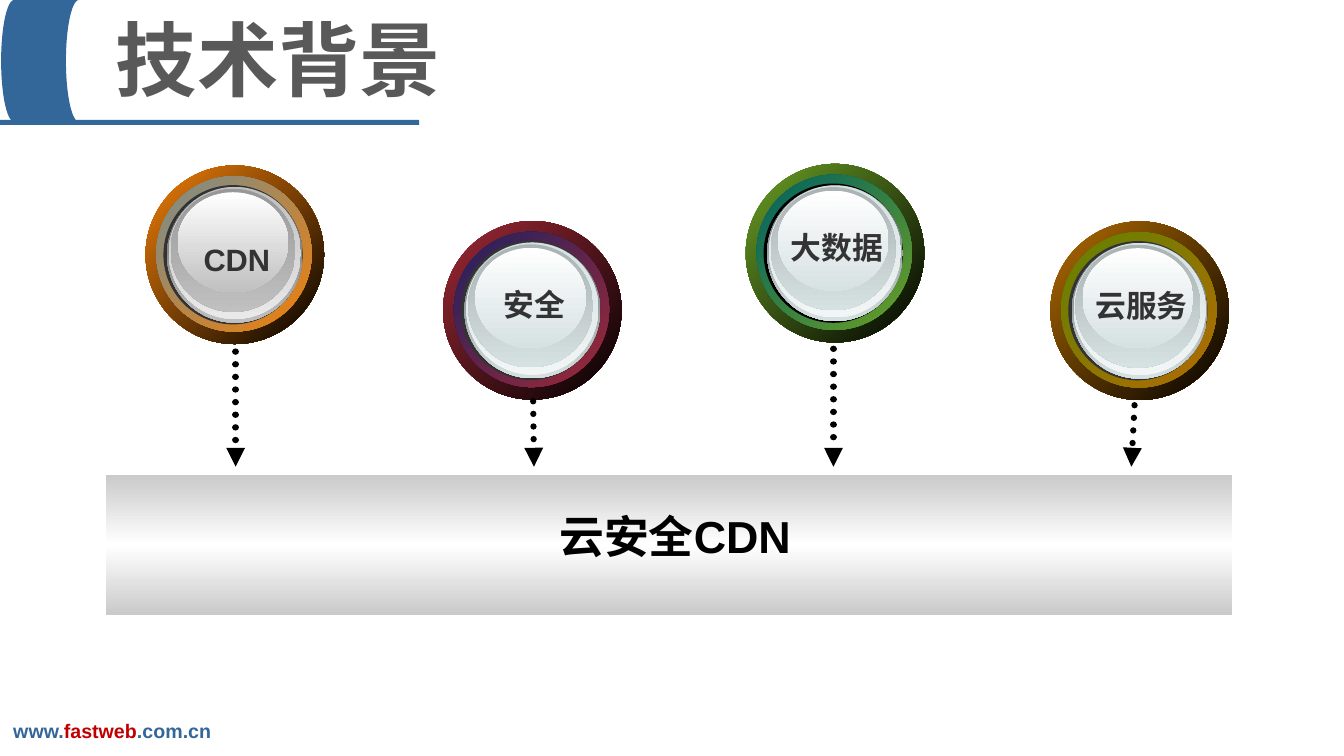
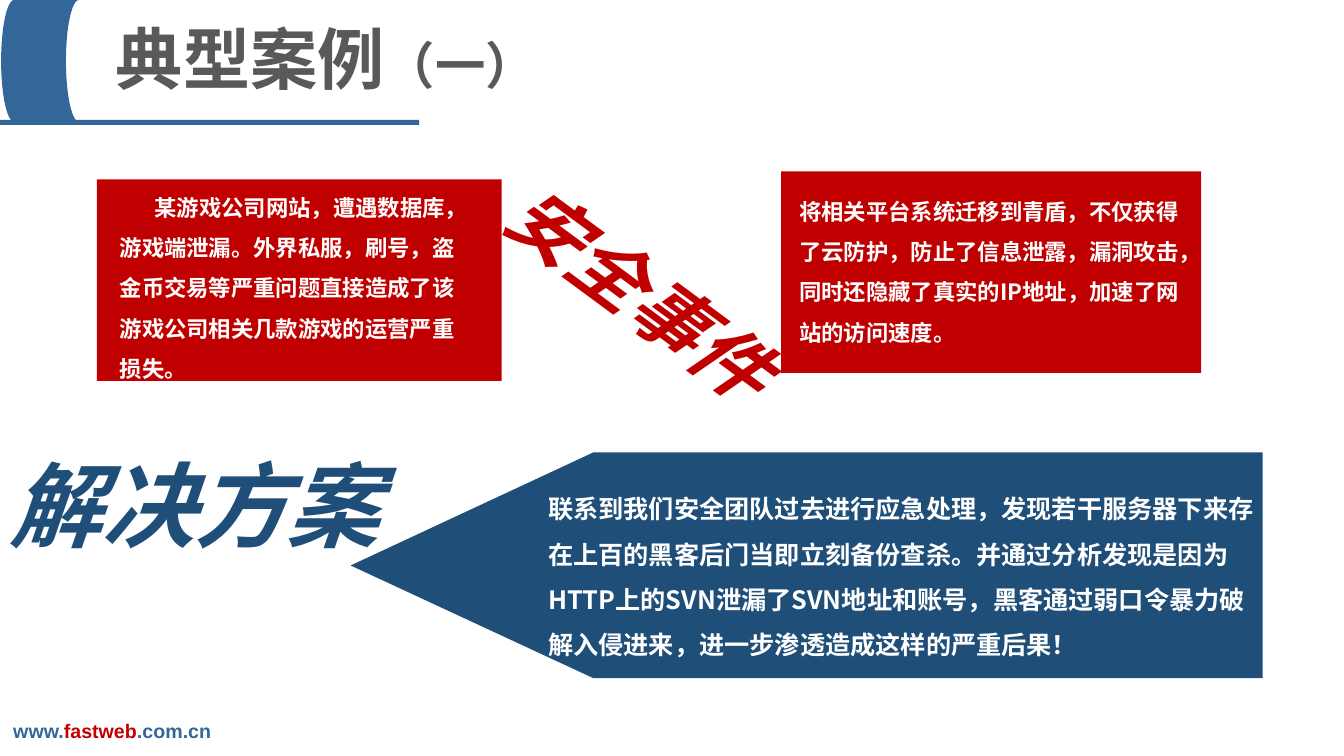
import copy

import pptx
import pptx.dml.color
import pptx.enum.dml
import pptx.enum.shapes
import pptx.enum.text
import pptx.oxml
import pptx.oxml.ns
import pptx.util

Cm = pptx.util.Cm
SHAPES = pptx.enum.shapes.MSO_SHAPE
ANCHOR = pptx.enum.text.MSO_ANCHOR
ALIGN = pptx.enum.text.PP_ALIGN

CJK_FONT = "Noto Sans CJK SC"
BLUE, NAVY, RED = "336699", "1F4E79", "C00000"
GREY, INK, WHITE = "595959", "333333", "FFFFFF"

ICE_TONES = ("636869", "D6E1E2", "F1F5F5", "AAB2B3")
SILVER_TONES = (GREY, "C0C0C0", "E9E9E9", "989898")
DISC_SIZE = 4.5
ARROW_END = 11.76


def rgb(value):
    return pptx.dml.color.RGBColor.from_string(value)


def cm_box(*lengths):
    return [Cm(length) for length in lengths]


class Slides:
    """Holds the deck, its shared look and the slide being filled."""

    def __init__(self):
        self.deck = pptx.Presentation()
        self.deck.slide_width, self.deck.slide_height = cm_box(33.88, 19.05)
        self.layout = self.deck.slide_layouts[5]
        self.page = None

    def new_page(self, title_spans):
        first = self.page is None
        self.page = self.deck.slides.add_slide(self.layout)
        if first:
            self.furnish_layout()
        title = self.page.shapes.title
        title.left, title.top, title.width, title.height = cm_box(2.67, 0, 22.86, 2.9)
        self.fill_frame(title.text_frame, title_spans, GREY, {"name": CJK_FONT},
                        {"alignment": ALIGN.LEFT}, {"vertical_anchor": ANCHOR.MIDDLE})

    def furnish_layout(self):
        """Draw the band and web address, then move them to the layout."""
        parts = [
            self.shape(SHAPES.FLOWCHART_STORED_DATA, (0.03, 0, 1.96, 3.07), [BLUE]),
            self.shape(SHAPES.RECTANGLE, (0, 3.02, 10.57, 0.13), [BLUE]),
            self.text((0.05, 17.98, 5.56, 0.86),
                      [("www.", 14), ("fastweb", 14, RED), (".com.cn", 14)], BLUE),
        ]
        for number, part in enumerate(parts, 101):
            part.element.nvSpPr.cNvPr.set("id", str(number))
            self.layout.shapes.element.append(part.element)

    def paint(self, shape, colors, angle=90):
        """One colour gives a solid fill, more give evenly spaced stops (angle clockwise)."""
        shape.shadow.inherit = False
        shape.line.fill.background()
        fill = shape.fill
        if len(colors) == 1:
            fill.solid()
            fill.fore_color.rgb = rgb(colors[0])
            return shape
        fill.gradient()
        fill.gradient_angle = 360 - angle
        stop_list = shape.element.spPr.find(".//" + pptx.oxml.ns.qn("a:gsLst"))
        for _ in colors[2:]:
            stop_list.append(copy.deepcopy(stop_list[0]))
        for index, (stop, color) in enumerate(zip(fill.gradient_stops, colors)):
            stop.position = index / (len(colors) - 1)
            stop.color.rgb = rgb(color)
        return shape

    def shape(self, kind, place, colors, angle=90):
        return self.paint(self.page.shapes.add_shape(kind, *cm_box(*place)), colors, angle)

    def polygon(self, points, color):
        start, *others = [cm_box(*point) for point in points]
        builder = self.page.shapes.build_freeform(*start)
        builder.add_line_segments(others, close=True)
        return self.paint(builder.convert_to_shape(), [color])

    def fill_frame(self, frame, spans, color, font=None, layout=None, settings=None,
                   indent=0):
        """Fill a frame with one paragraph; a span is (text, size[, colour])."""
        frame_format = {"word_wrap": True, "auto_size": pptx.enum.text.MSO_AUTO_SIZE.NONE,
                        "vertical_anchor": ANCHOR.TOP, **(settings or {})}
        for name, value in frame_format.items():
            setattr(frame, name, value)
        para = frame.paragraphs[0]
        for name, value in {"alignment": ALIGN.CENTER, **(layout or {})}.items():
            setattr(para, name, value)
        if indent:
            para._p.get_or_add_pPr().set("indent", str(Cm(indent)))
        for text, size, *own_color in spans:
            span = para.add_run()
            span.text = text
            font_format = {"name": "Arial", "bold": True, "size": pptx.util.Pt(size),
                           **(font or {})}
            for name, value in font_format.items():
                setattr(span.font, name, value)
            span.font.color.rgb = rgb(own_color[0] if own_color else color)
            east_asian = pptx.oxml.parse_xml(
                f'<a:ea {pptx.oxml.ns.nsdecls("a")} typeface="{CJK_FONT}"/>')
            span._r.get_or_add_rPr().append(east_asian)

    def text(self, place, spans, color, **formats):
        box = self.page.shapes.add_textbox(*cm_box(*place))
        self.fill_frame(box.text_frame, spans, color, **formats)
        return box

    def story(self, shape, text, size, margins, indent=0):
        """White body text inside a shape; margins are left, top, right."""
        left, top, right = cm_box(*margins)
        self.fill_frame(shape.text_frame, [(text, size)], WHITE, {"name": CJK_FONT},
                        {"alignment": ALIGN.LEFT, "line_spacing": 1.5},
                        {"margin_left": left, "margin_top": top, "margin_right": right,
                         "margin_bottom": 0}, indent)

    def disc(self, left, top, label, label_shift, rim, ring, tones=ICE_TONES, edge=INK):
        """Glossy button; each layer is placed as a share of the disc size."""
        dark, middle, light, shade = tones
        layers = [
            (0, 0, 1, 1, [rim, "000000"], 45),
            (0.06, 0.06, 0.87, 0.87, [ring, rim], 45),
            (0.1, 0.11, 0.78, 0.78, [edge], 90),
            (0.12, 0.12, 0.76, 0.76, [dark, middle], 90),
            (0.13, 0.12, 0.74, 0.74, [middle, light], 90),
            (0.14, 0.13, 0.7, 0.69, [shade, middle], 90),
            (0.18, 0.15, 0.62, 0.56, [WHITE, middle], 90),
        ]
        for x, y, width, height, colors, angle in layers:
            place = (left + x * DISC_SIZE, top + y * DISC_SIZE,
                     width * DISC_SIZE, height * DISC_SIZE)
            self.shape(SHAPES.OVAL, place, colors, angle)
        self.text((left + 0.05, top + label_shift, DISC_SIZE, DISC_SIZE), [(label, 22)],
                  INK, settings={"vertical_anchor": ANCHOR.MIDDLE})

    def dotted_arrow(self, start, end):
        arrow = self.page.shapes.add_connector(
            pptx.enum.shapes.MSO_CONNECTOR.STRAIGHT, *cm_box(*start, *end))
        arrow.line.width = pptx.util.Pt(4.5)
        arrow.line.color.rgb = rgb("000000")
        arrow.line.dash_style = pptx.enum.dml.MSO_LINE.ROUND_DOT
        line = arrow.element.spPr.find(pptx.oxml.ns.qn("a:ln"))
        line.set("cap", "rnd")
        namespace = pptx.oxml.ns.nsdecls("a")
        line.append(pptx.oxml.parse_xml(f'<a:tailEnd {namespace} type="triangle"/>'))
        arrow.element.spPr.append(pptx.oxml.parse_xml(f"<a:effectLst {namespace}/>"))


def background_page(slides):
    slides.new_page([("技术背景", 58)])
    plate = slides.shape(SHAPES.RECTANGLE, (2.67, 11.96, 28.4, 3.53),
                         ["CACACA", WHITE, "CACACA"])
    slides.fill_frame(plate.text_frame, [("云安全CDN", 32)], "000000",
                      settings={"vertical_anchor": ANCHOR.MIDDLE, "margin_left": Cm(0.55),
                                "margin_bottom": Cm(0.6)})
    slides.disc(3.67, 4.17, "CDN", 0.1, "F07F09", "778E90", SILVER_TONES)
    slides.disc(11.17, 5.57, "安全", -0.15, "9F2936", "202061")
    slides.disc(18.8, 4.13, "大数据", -0.15, "6B9F25", "006161", edge="000000")
    slides.disc(26.48, 5.58, "云服务", -0.15, "B26B02", "618200")
    for start_x, start_y, end_x in [(5.94, 8.86, 5.94), (13.44, 10.11, 13.46),
                                    (21.01, 8.79, 21.01), (28.6, 10.21, 28.52)]:
        slides.dotted_arrow((start_x, start_y), (end_x, ARROW_END))


def case_page(slides):
    slides.new_page([("典型案例", 48), ("（一）", 36)])
    incident = slides.shape(SHAPES.RECTANGLE, (2.44, 4.52, 10.21, 5.08), [RED])
    slides.story(incident, "某游戏公司网站，遭遇数据库，游戏端泄漏。外界私服，刷号，盗金币交易等"
                 "严重问题直接造成了该游戏公司相关几款游戏的运营严重损失。",
                 16, (0.58, 0.03, 0.84), indent=0.88)
    result = slides.shape(SHAPES.RECTANGLE, (19.69, 4.32, 10.59, 5.08), [RED])
    slides.story(result, "将相关平台系统迁移到青盾，不仅获得了云防护，防止了信息泄露，漏洞攻击，"
                 "同时还隐藏了真实的IP地址，加速了网站的访问速度。", 16, (0.46, 0.33, 0.46))
    solution = slides.polygon([(31.83, 11.4), (14.96, 11.4), (8.84, 14.25),
                               (14.96, 17.09), (31.83, 17.09)], NAVY)
    slides.story(solution, "联系到我们安全团队过去进行应急处理，发现若干服务器下来存在上百的黑客后门"
                 "当即立刻备份查杀。并通过分析发现是因为HTTP上的SVN泄漏了SVN地址和账号，"
                 "黑客通过弱口令暴力破解入侵进来，进一步渗透造成这样的严重后果！",
                 18, (4.98, 0.66, 0))
    slanted = {"name": "Arial Narrow", "italic": True}
    event = slides.text((12.01, 6.07, 8.26, 2.54), [("安全事件", 54)], RED, font=slanted)
    event.rotation = 36.4
    slides.text((0, 11.18, 9.91, 3.05), [("解决方案", 66)], NAVY, font=slanted,
                layout={"alignment": ALIGN.LEFT})


def main():
    slides = Slides()
    background_page(slides)
    case_page(slides)
    slides.deck.save("out.pptx")


if __name__ == "__main__":
    main()
